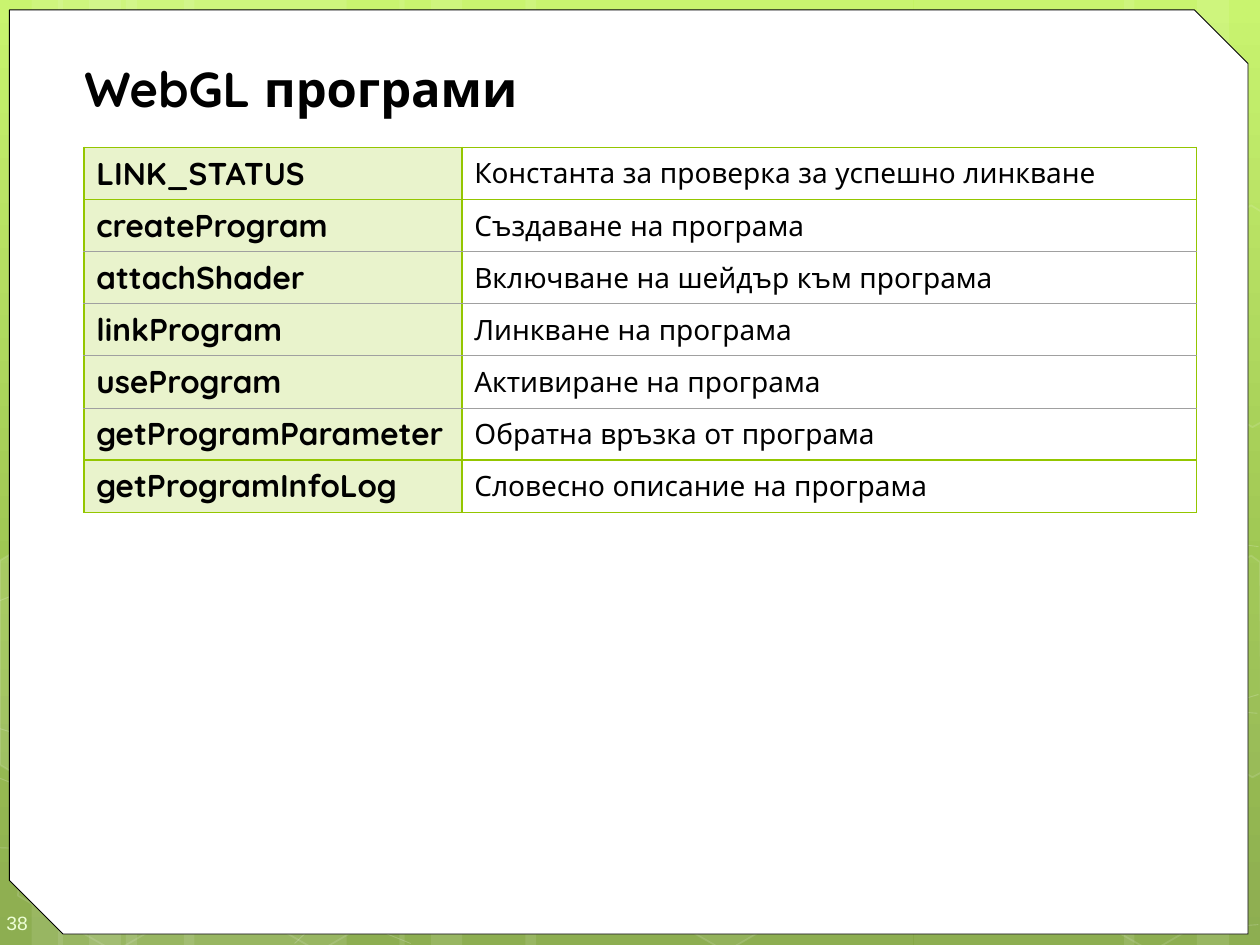
import copy

from lxml import etree
from pptx import Presentation, util as u
from pptx.dml.color import RGBColor
from pptx.enum import shapes, text
from pptx.oxml.ns import qn

Cm, Pt = u.Cm, u.Pt
COLORS = {name: RGBColor.from_string(value) for name, value in {
    "white": "FFFFFF", "black": "000000", "green": "94C600", "rule": "A0A0A0",
    "number": "EEFFD6", "top": "C3F35F", "middle": "93BF3F", "bottom": "81A53E",
}.items()}


def set_opacity(element, percent):
    color = element.find(".//" + qn("a:srgbClr"))
    etree.SubElement(color, qn("a:alpha"), val=str(percent * 1000))


def paint_veil(shape, fill_opacity=0, line_opacity=0, line_width=1):
    """Give a shape a translucent white fill and outline."""
    shape.shadow.inherit = False
    properties = shape.element.spPr
    if fill_opacity:
        shape.fill.solid()
        shape.fill.fore_color.rgb = COLORS["white"]
        set_opacity(properties, fill_opacity)
    else:
        shape.fill.background()
    if line_opacity:
        shape.line.color.rgb = COLORS["white"]
        shape.line.width = Pt(line_width)
        set_opacity(properties.find(qn("a:ln")), line_opacity)
    else:
        shape.line.fill.background()


presentation = Presentation()
presentation.slide_width, presentation.slide_height = Cm(25.4), Cm(19.05)
slide = presentation.slides.add_slide(presentation.slide_layouts[5])

# Background gradient, from top to bottom
background = slide.background.fill
background.gradient()
background.gradient_angle = 270
stop_list = slide.element.find(".//" + qn("a:gsLst"))
stop_list.append(copy.deepcopy(stop_list[-1]))
for stop, position, name in zip(background.gradient_stops, (0, 0.62, 1),
                                ("top", "middle", "bottom")):
    stop.position = position
    stop.color.rgb = COLORS[name]

# Vertical stripes: left, width
for left, width in [(2.54, 4.45), (0, 1.27), (0.64, 2.12), (3.71, 4.45),
                    (1.17, 1.27), (1.8, 2.12), (18.42, 4.45), (24.13, 1.27),
                    (22.66, 2.12), (10.59, 7.82), (8.05, 1.27), (8.69, 2.12)]:
    stripe = slide.shapes.add_shape(shapes.MSO_SHAPE.RECTANGLE, Cm(left), 0,
                                    Cm(width), presentation.slide_height)
    paint_veil(stripe, 10)

# Thin lines and cut hexagons at the edges: points, closed, fill, line, width
outlines = [
    ([(-0.03, 17.09), (4.62, 17.22), (11.43, 16.89), (19.89, 15.67),
      (25.37, 14)], False, 0, 20, 0.5),
    ([(-0.03, 12.12), (2.87, 10.95), (8.61, 9.83), (16.41, 9.83),
      (25.37, 11.02)], False, 0, 20, 0.5),
    ([(-0.05, 15.67), (8.28, 19.02)], False, 0, 20, 0.5),
    ([(-0.03, 14.68), (3.05, 15.65), (8.84, 17.09), (15.75, 18.24),
      (21.44, 18.69), (23.8, 18.75), (25.37, 18.64)], False, 0, 20, 0.5),
    ([(5.94, 19.02), (7.47, 17.55), (9.63, 16.23), (11.71, 15.47),
      (15.24, 14.68), (17.07, 14.45), (19.96, 14.27), (23.98, 14.27),
      (25.35, 14.38)], False, 0, 20, 0.5),
    ([(0, 11.3), (0.28, 11.13), (2.21, 12.24), (2.21, 14.48), (0.3, 15.6),
      (0, 15.42)], True, 10, 12, 1),
    ([(23.32, 12.32), (25.22, 11.2), (25.4, 11.33), (25.43, 15.57),
      (25.25, 15.67), (23.29, 14.55)], True, 4, 12, 1),
    ([(23.32, 5.26), (25.22, 4.14), (25.43, 4.27), (25.43, 8.51),
      (25.25, 8.61), (23.29, 7.49)], True, 0, 12, 1),
]
for points, closed, fill_opacity, line_opacity, width in outlines:
    corners = [(Cm(x), Cm(y)) for x, y in points]
    builder = slide.shapes.build_freeform(*corners[0])
    builder.add_line_segments(corners[1:], close=closed)
    paint_veil(builder.convert_to_shape(), fill_opacity, line_opacity, width)

# Hexagons whose tips reach below the card: left, fill
for left, fill_opacity in [(0.08, 0), (4.19, 0), (12.4, 6), (20.98, 0)]:
    hexagon = slide.shapes.add_shape(shapes.MSO_SHAPE.HEXAGON, Cm(left),
                                     Cm(15.02), Cm(4.45), Cm(3.86))
    hexagon.adjustments[0] = 0.285
    hexagon.rotation = 30
    paint_veil(hexagon, fill_opacity, 12)

# White card with two snipped corners
card = slide.shapes.add_shape(shapes.MSO_SHAPE.SNIP_2_DIAG_RECTANGLE,
                              Cm(0.19), Cm(0.2), Cm(24.97), Cm(18.63))
card.adjustments[0], card.adjustments[1] = 0, 0.058
card.shadow.inherit = False
card.fill.solid()
card.fill.fore_color.rgb = COLORS["white"]
card.line.color.rgb = COLORS["black"]
card.line.width = Pt(0.5)

# Title, brought in front of the card, and slide number
title = slide.shapes.title
slide.shapes.element.append(title.element)
title.left, title.top, title.width, title.height = (
    Cm(1.27), Cm(1.04), Cm(23.93), Cm(1.7))
number = slide.shapes.add_textbox(0, Cm(18.03), Cm(1.47), Cm(1.02))
for shape, words, font_name, size, bold, color, anchor, insets in [
    (title, "WebGL програми", "Quicksand", 28, True, "black",
     text.MSO_ANCHOR.TOP, (0.43, 0.13, 0.25, 0.13)),
    (number, "38", "Arial", 11, False, "number",
     text.MSO_ANCHOR.MIDDLE, (0.13, 0.38, 0, 0.25)),
]:
    frame = shape.text_frame
    frame.word_wrap = True
    frame.auto_size = text.MSO_AUTO_SIZE.NONE
    frame.vertical_anchor = anchor
    (frame.margin_left, frame.margin_top,
     frame.margin_right, frame.margin_bottom) = map(Cm, insets)
    paragraph = frame.paragraphs[0]
    paragraph.alignment = text.PP_ALIGN.LEFT
    run = paragraph.add_run()
    run.text = words
    run.font.name, run.font.size, run.font.bold = font_name, Pt(size), bold
    run.font.color.rgb = COLORS[color]

# Table of functions
rows = [
    ("LINK_STATUS", "Константа за проверка за успешно линкване"),
    ("createProgram", "Създаване на програма"),
    ("attachShader", "Включване на шейдър към програма"),
    ("linkProgram", "Линкване на програма"),
    ("useProgram", "Активиране на програма"),
    ("getProgramParameter", "Обратна връзка от програма"),
    ("getProgramInfoLog", "Словесно описание на програма"),
]
row_height = Cm(1.05)
table = slide.shapes.add_table(len(rows), 2, Cm(1.69), Cm(2.97), Cm(22.43),
                               row_height * len(rows)).table
table.first_row = table.horz_banding = False
table.columns[0].width, table.columns[1].width = Cm(7.62), Cm(14.81)
green_rules = {0, 1, len(rows) - 1, len(rows)}
for row_index, row in enumerate(rows):
    table.rows[row_index].height = row_height
    for column_index, words in enumerate(row):
        is_name = column_index == 0
        cell = table.cell(row_index, column_index)
        cell.vertical_anchor = text.MSO_ANCHOR.MIDDLE
        run = cell.text_frame.paragraphs[0].add_run()
        run.text = words
        run.font.name, run.font.bold = "Quicksand", is_name
        run.font.size = Pt(18 if is_name else 16)
        run.font.color.rgb = COLORS["black"]

        properties = cell._tc.get_or_add_tcPr()
        for side, rule in [("L", 0), ("R", 0), ("T", row_index),
                           ("B", row_index + 1)]:
            is_green = rule in green_rules
            line = etree.SubElement(properties, qn(f"a:ln{side}"),
                                    w=str(Pt(1 if is_green else 0.5)))
            fill = etree.SubElement(line, qn("a:solidFill"))
            etree.SubElement(fill, qn("a:srgbClr"),
                             val=str(COLORS["green" if is_green else "rule"]))
        if is_name:
            cell.fill.solid()
            cell.fill.fore_color.rgb = COLORS["green"]
            set_opacity(properties.find(qn("a:solidFill")), 20)
        else:
            cell.fill.background()

presentation.save("out.pptx")
